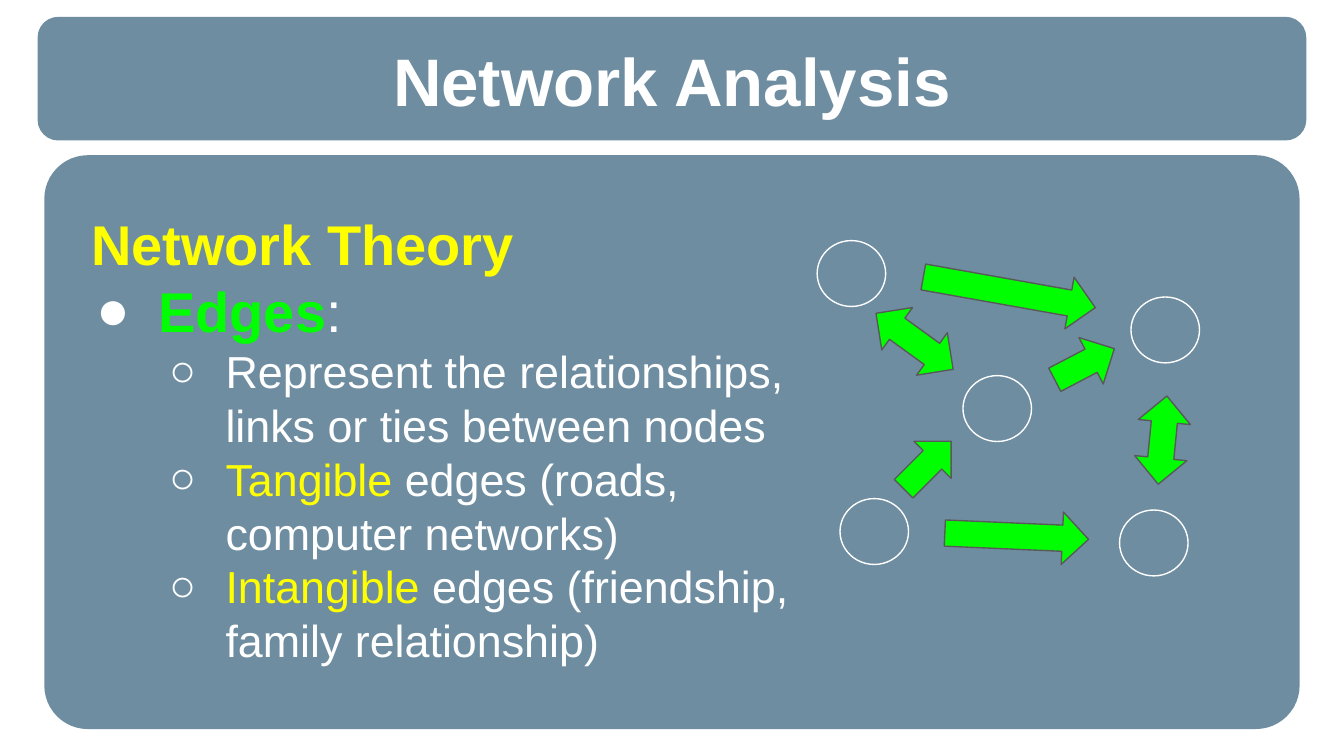
from lxml import etree
from pptx import Presentation
from pptx.dml.color import RGBColor
from pptx.enum.shapes import MSO_SHAPE
from pptx.enum.text import MSO_ANCHOR, PP_ALIGN
from pptx.oxml.ns import qn
from pptx.util import Pt

PX = 4572
ROUND = MSO_SHAPE.ROUNDED_RECTANGLE
OVAL = MSO_SHAPE.OVAL
RIGHT = MSO_SHAPE.RIGHT_ARROW
BOTH = MSO_SHAPE.LEFT_RIGHT_ARROW
MIDDLE = MSO_ANCHOR.MIDDLE
CENTER = PP_ALIGN.CENTER
HEX = {"slate": "215170", "white": "FFFFFF", "yellow": "FFFF00",
       "green": "00FF00", "gray": "595959"}
COLOR = {name: RGBColor.from_string(code) for name, code in HEX.items()}

deck = Presentation()
deck.slide_width = 2000 * PX
deck.slide_height = 1125 * PX
slide = deck.slides.add_slide(deck.slide_layouts[6])


def add_shape(kind, box, fill=None, line=None):
    shape = slide.shapes.add_shape(kind, *[n * PX for n in box])
    shape.shadow.inherit = False
    if fill:
        shape.fill.solid()
        shape.fill.fore_color.rgb = COLOR[fill]
    else:
        shape.fill.background()
    if line:
        shape.line.color.rgb = COLOR[line]
        shape.line.width = Pt(0.75)
    else:
        shape.line.fill.background()
    return shape


def add_frame(box):
    frame = slide.shapes.add_textbox(*[n * PX for n in box]).text_frame
    frame.word_wrap = True
    frame.margin_left = frame.margin_right = 20 * PX
    frame.margin_top = frame.margin_bottom = 20 * PX
    return frame


panels = [((56, 25, 1888, 184), 0.167), ((66, 231, 1868, 854), 0.076)]
for box, curve in panels:
    panel = add_shape(ROUND, box, "slate")
    panel.adjustments[0] = curve
    tint = panel._element.spPr.find(qn("a:solidFill"))[0]
    etree.SubElement(tint, qn("a:alpha"), val="65000")

items = [
    (None, 0, 0, 30, True, [("Network Theory", "yellow")]),
    ("●", 100, 92, 30, None, [("Edges", "green"), (":", "white")]),
    ("○", 200, 84, 24, False,
     [("Represent the relationships, links or ties between nodes", "white")]),
    ("○", 200, 84, 24, False,
     [("Tangible", "yellow"), (" edges (roads, computer networks)", "white")]),
    ("○", 200, 84, 24, False,
     [("Intangible", "yellow"),
      (" edges (friendship, family relationship)", "white")]),
]
body = add_frame((116, 292, 1114, 766))
for i, (mark, left, hang, size, bold, runs) in enumerate(items):
    para = body.add_paragraph() if i else body.paragraphs[0]
    if mark:
        props = para._p.get_or_add_pPr()
        props.set("marL", str(left * PX))
        props.set("indent", str(-hang * PX))
        props.set("lvl", "1" if left > 100 else "0")
        tint = etree.SubElement(props, qn("a:buClr"))
        etree.SubElement(tint, qn("a:srgbClr"), val=HEX["white"])
        etree.SubElement(props, qn("a:buFont"), typeface="Arial")
        etree.SubElement(props, qn("a:buChar"), char=mark)
    para.font.name = "Arial"
    para.font.size = Pt(size)
    para.font.bold = bold
    for text, color in runs:
        run = para.add_run()
        run.text = text
        run.font.color.rgb = COLOR[color]
        if bold is None:
            run.font.bold = color == "green"

title = add_frame((66, 58, 1868, 120))
title.vertical_anchor = MIDDLE
head = title.paragraphs[0]
head.text = "Network Analysis"
head.alignment = CENTER
head.font.name = "Arial"
head.font.size = Pt(36)
head.font.bold = True
head.font.color.rgb = COLOR["white"]

nodes = [(1216, 358), (1433, 559), (1250, 742), (1683, 442), (1666, 759)]
for x, y in nodes:
    add_shape(OVAL, (x, y, 102, 98), line="white")

edges = [
    (RIGHT, 1372, 396, 260, 10.1),
    (RIGHT, 1406, 759, 214, 2.5),
    (BOTH, 1290, 469, 142, 36),
    (BOTH, 1664, 616, 132, 95.6),
    (RIGHT, 1330, 653, 100, 315),
    (RIGHT, 1564, 503, 100, 332.4),
]
for kind, x, y, width, turn in edges:
    edge = add_shape(kind, (x, y, width, 78), "green", "gray")
    edge.rotation = turn

deck.save("out.pptx")
